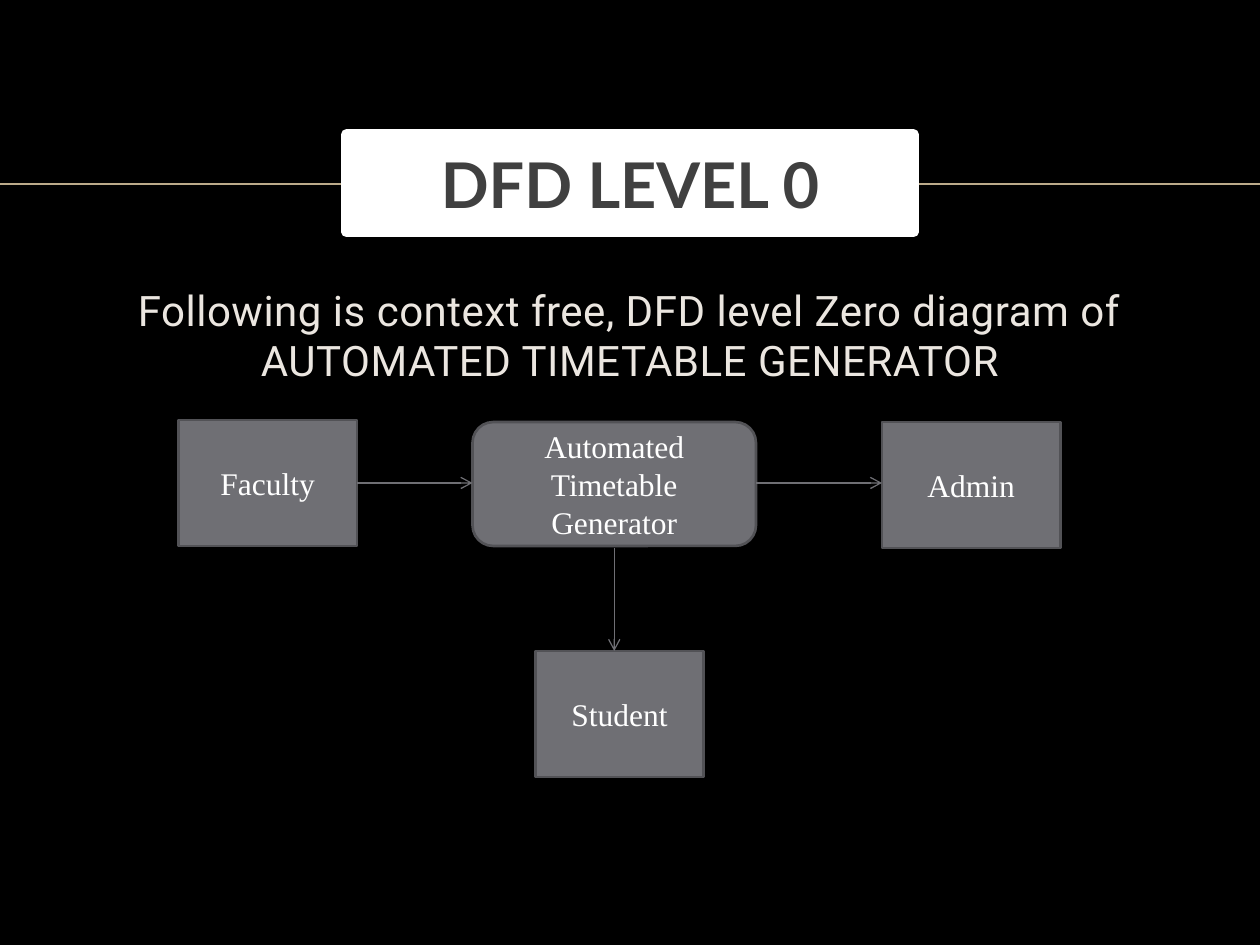
from lxml import etree
from pptx import Presentation
from pptx.dml.color import RGBColor
from pptx.enum.shapes import MSO_CONNECTOR, MSO_SHAPE
from pptx.enum.text import MSO_ANCHOR, MSO_AUTO_SIZE, PP_ALIGN
from pptx.oxml.ns import qn
from pptx.util import Inches, Pt

RECT, ROUND = MSO_SHAPE.RECTANGLE, MSO_SHAPE.ROUNDED_RECTANGLE
STRAIGHT = MSO_CONNECTOR.STRAIGHT
TOP, MIDDLE = MSO_ANCHOR.TOP, MSO_ANCHOR.MIDDLE
CENTER, FIXED = PP_ALIGN.CENTER, MSO_AUTO_SIZE.NONE

COLORS = {
    "back": "000000", "rule": "BBAA8A", "white": "FFFFFF", "title": "404040",
    "body": "EBE6E0", "box": "6F6F74", "edge": "525256",
}
COLS, ROWS = 120, 90


def tint(name):
    return RGBColor.from_string(COLORS[name])


class Canvas:
    def __init__(self, deck):
        self.wide = deck.slide_width / COLS
        self.high = deck.slide_height / ROWS
        self.slide = deck.slides.add_slide(deck.slide_layouts[5])
        self.shapes = self.slide.shapes
        fill = self.slide.background.fill
        fill.solid()
        fill.fore_color.rgb = tint("back")

    def spot(self, col, row):
        return round(col * self.wide), round(row * self.high)

    def paint(self, shape, fill, edge, width):
        shape.fill.solid()
        shape.fill.fore_color.rgb = tint(fill)
        shape.line.color.rgb = tint(edge)
        shape.line.width = Pt(width)

    def label(self, shape, text, font, size, color, bold=False,
              before=0, anchor=MIDDLE, gap=0):
        frame = shape.text_frame
        frame.word_wrap = True
        frame.auto_size = FIXED
        frame.vertical_anchor = anchor
        para = frame.paragraphs[0]
        para.alignment = CENTER
        para.space_before = Pt(before)
        run = para.add_run()
        run.text = text
        run.font.name = font
        run.font.size = Pt(size)
        run.font.bold = bold
        run.font.color.rgb = tint(color)
        if gap:
            run.font._element.set("spc", str(gap))

    def title(self, text, col, row, wide, high):
        shape = self.shapes.title
        shape.left, shape.top = self.spot(col, row)
        shape.width, shape.height = self.spot(wide, high)
        self.paint(shape, "white", "white", 6)
        self.label(shape, text, "Lato", 36, "title", bold=True, before=4)

    def body(self, text, col, row, wide, high):
        shape = self.shapes.add_textbox(*self.spot(col, row), *self.spot(wide, high))
        self.label(shape, text, "Roboto", 24, "body", before=6, anchor=TOP, gap=30)

    def box(self, text, col, row, wide, high, kind=RECT):
        shape = self.shapes.add_shape(kind, *self.spot(col, row), *self.spot(wide, high))
        shape.shadow.inherit = False
        self.paint(shape, "box", "edge", 1.5)
        self.label(shape, text, "Times New Roman", 18, "white")

    def line(self, start, end, color, width):
        line = self.shapes.add_connector(STRAIGHT, *self.spot(*start), *self.spot(*end))
        line.line.color.rgb = tint(color)
        line.line.width = Pt(width)
        etree.SubElement(line.element.spPr, qn("a:effectLst"))
        return line

    def rule(self, row):
        line = self.line((0, row), (COLS, row), "rule", 1)
        self.shapes.element.insert(2, line.element)

    def arrow(self, start, end):
        line = self.line(start, end, "box", 0.75)
        tail = etree.SubElement(line.element.spPr.find(qn("a:ln")), qn("a:tailEnd"))
        tail.set("type", "arrow")


deck = Presentation()
deck.slide_width, deck.slide_height = Inches(10), Inches(7.5)

page = Canvas(deck)
page.rule(17.5)
page.title("DFD LEVEL 0", 33, 12.8, 54, 9.3)
page.body("Following is context free, DFD level Zero diagram of "
          "AUTOMATED TIMETABLE GENERATOR", 6, 26.5, 108, 53.5)

for text, *place in (
    ("Faculty", 17, 40, 17, 12),
    ("Automated Timetable Generator", 45, 40.2, 27, 11.8, ROUND),
    ("Admin", 84, 40.2, 17, 12),
    ("Student", 51, 62, 16, 12),
):
    page.box(text, *place)

for start, end in (
    ((34, 46), (45, 46)),
    ((72, 46), (84, 46)),
    ((58.5, 52.2), (58.5, 62)),
):
    page.arrow(start, end)

deck.save("out.pptx")
